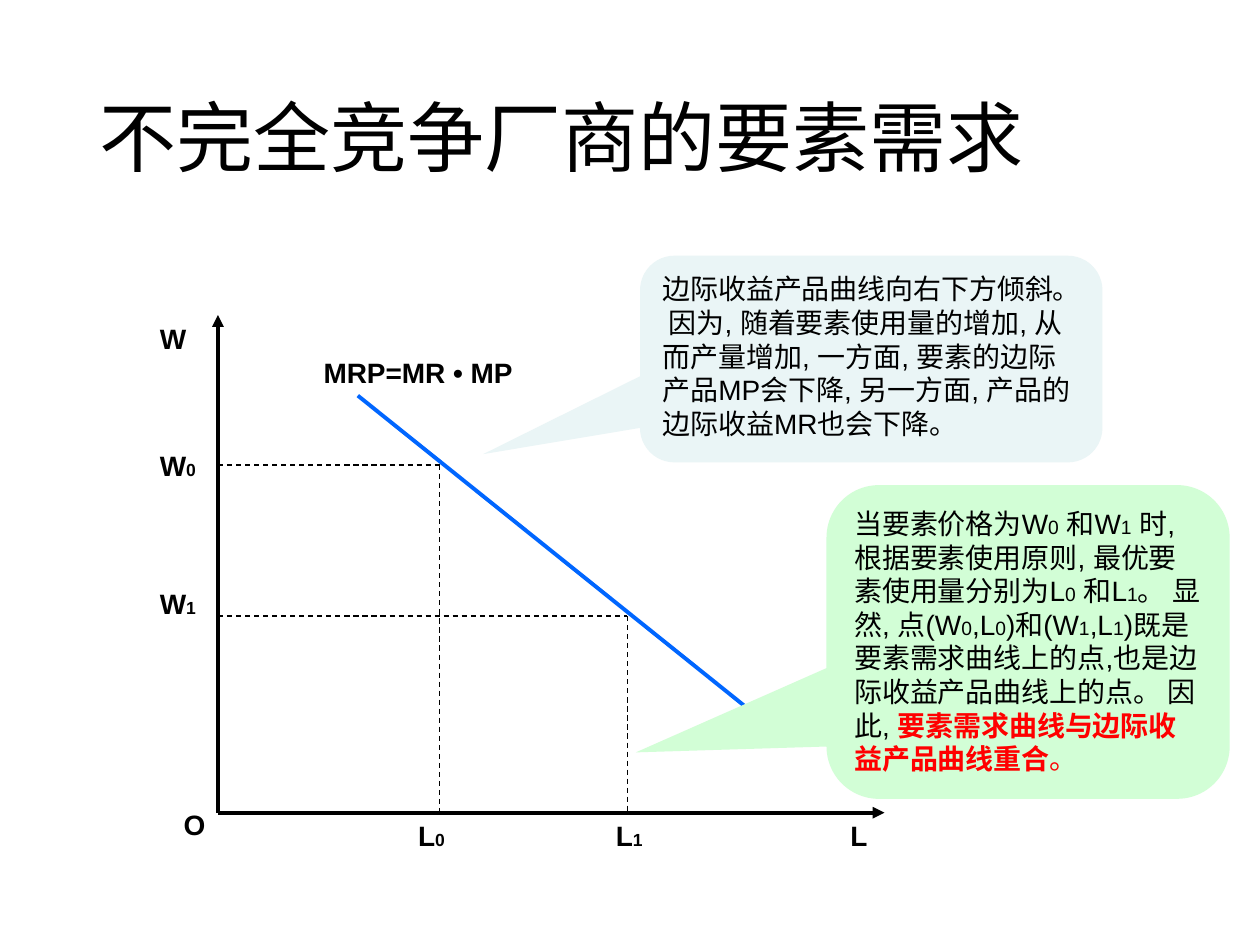
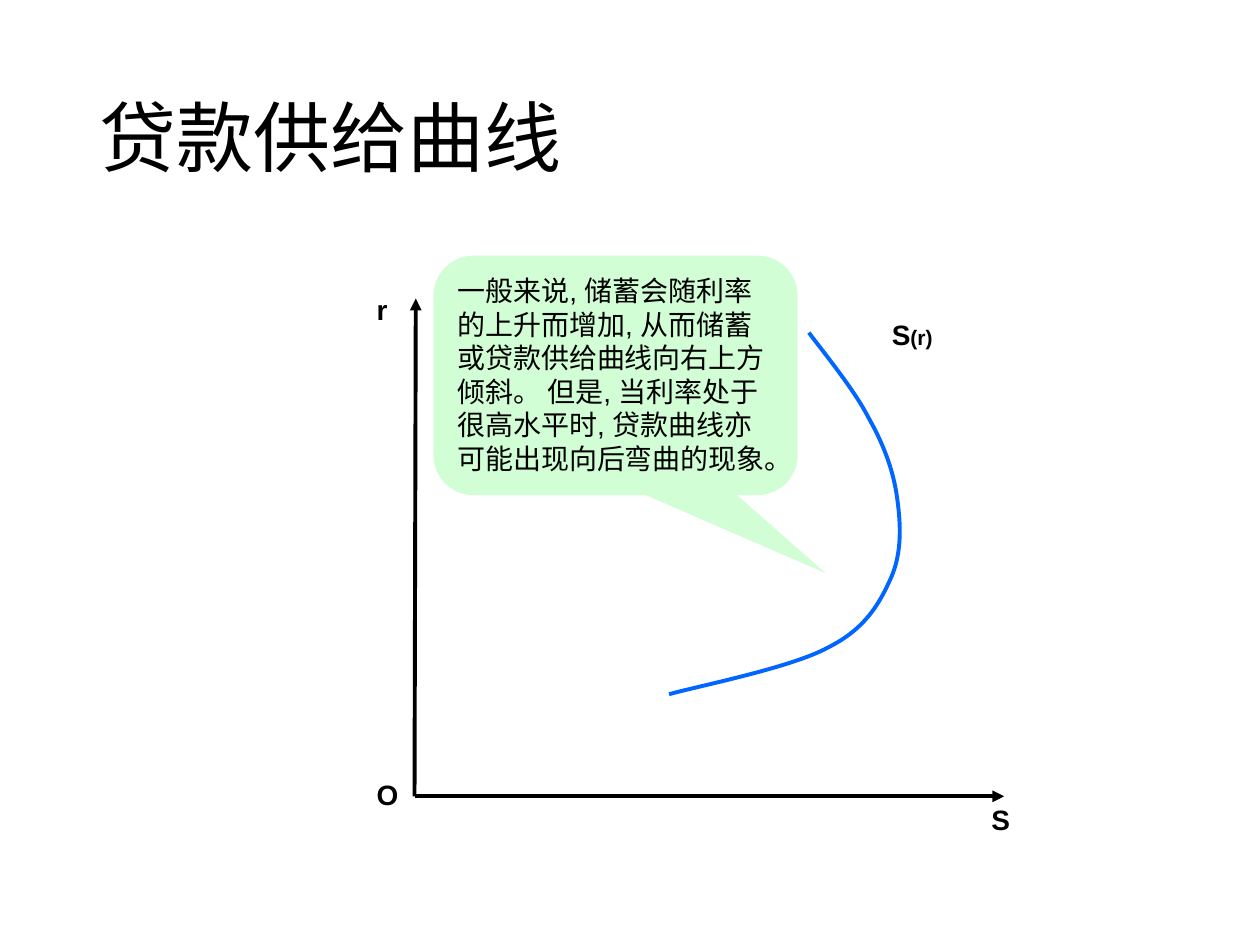
"""Builds two economics slides: factor demand and the loan supply curve."""
from lxml import etree
from pptx import Presentation
from pptx.dml.color import RGBColor
from pptx.enum import dml, shapes, text
from pptx.oxml import ns
from pptx.util import Inches, Pt

THEME = {
    "black": RGBColor(0, 0, 0), "blue": RGBColor(0x00, 0x66, 0xFF),
    "red": RGBColor(0xFF, 0, 0), "mist": RGBColor(0xEA, 0xF5, 0xF6),
    "mint": RGBColor(0xD2, 0xFE, 0xD6),
    "title": 44, "body": 16, "index": 10, "argument": 12, "note_index": 11,
    "thick": 2.25, "thin": 0.75, "title_font": "Calibri", "font": "Arial",
}


def write(tf, marked, size, small, font=THEME["font"], bold=False):
    """Writes text whose |marked| parts take the small size."""
    tf.word_wrap = True
    tf.auto_size = text.MSO_AUTO_SIZE.NONE
    p = tf.paragraphs[0]
    p.alignment = text.PP_ALIGN.LEFT
    for i, piece in enumerate(marked.split("|")):
        r = p.add_run()
        r.text = piece
        look = {"name": font, "size": Pt(small if i % 2 else size), "bold": bold}
        for key, value in look.items():
            setattr(r.font, key, value)
        r.font.color.rgb = THEME["black"]
    return p


def draw_line(s, start, end, color="black", width="thick", dash=None, arrow=False):
    """Draws a straight line, dashed or with an arrowhead if asked."""
    ends = [Inches(v) for v in (*start, *end)]
    line = s.shapes.add_connector(shapes.MSO_CONNECTOR.STRAIGHT, *ends)
    line.line.color.rgb = THEME[color]
    line.line.width = Pt(THEME[width])
    if dash:
        line.line.dash_style = dash
    if arrow:
        etree.SubElement(line.line._get_or_add_ln(), ns.qn("a:tailEnd"), type="triangle")
    etree.SubElement(line._element.spPr, ns.qn("a:effectLst"))


slides = [
    {
        "title": "不完全竞争厂商的要素需求",
        "origin": (1.73, 6.45), "top": (1.73, 2.5), "right": (7.02, 6.45),
        "label_height": 0.43, "small": "index",
        "demand": ((2.84, 3.14), (6.28, 5.9)),
        "guides": [(3.49, 3.69), (4.98, 4.89)],
        "labels": [
            ("W", 1.17, 2.5, 0.74), ("O", 1.36, 6.36, 0.4), ("L", 6.65, 6.45, 0.4),
            ("W|0", 1.17, 3.51, 0.65), ("W|1", 1.17, 4.61, 0.7),
            ("L|0", 3.22, 6.45, 0.84), ("L|1", 4.79, 6.45, 0.74),
            ("MRP=MR • MP", 2.47, 2.77, 2.41),
        ],
        "callouts": [
            ((5.08, 2.03, 3.67, 1.64), (-0.839, 0.46), "mist", False,
             "边际收益产品曲线向右下方倾斜。 因为, 随着要素使用量的增加, 从而产量增加, "
             "一方面, 要素的边际产品MP会下降, 另一方面, 产品的边际收益MR也会下降。"),
            ((6.56, 3.85, 3.2, 2.49), (-0.973, 0.352), "mint", True,
             "当要素价格为W|0| 和W|1| 时, 根据要素使用原则, 最优要素使用量分别为L|0| 和L|1|"
             "。 显然, 点(W|0|,L|0|)和(W|1|,L|1|)既是要素需求曲线上的点,也是边际收益产品"
             "曲线上的点。 因此, |要素需求曲线与边际收益产品曲线重合|。"),
        ],
    },
    {
        "title": "贷款供给曲线",
        "origin": (3.29, 6.32), "top": (3.3, 2.37), "right": (7.97, 6.32),
        "label_height": 0.47, "small": "argument",
        "supply": [
            (6.42, 2.64), (6.5, 2.75), (6.78, 3.09), (6.89, 3.31),
            (7.01, 3.52), (7.09, 3.73), (7.12, 3.95),
            (7.15, 4.16), (7.16, 4.39), (7.07, 4.59),
            (6.98, 4.79), (6.87, 4.99), (6.57, 5.14),
            (6.28, 5.3), (5.52, 5.45), (5.31, 5.51),
        ],
        "labels": [
            ("r", 2.89, 2.27, 0.8), ("O", 2.89, 6.12, 0.43),
            ("S", 7.77, 6.32, 0.43), ("S|(r)", 6.98, 2.47, 0.9),
        ],
        "callouts": [
            ((3.44, 2.03, 2.89, 1.9), (0.577, 0.826), "mint", False,
             "一般来说, 储蓄会随利率的上升而增加, 从而储蓄或贷款供给曲线向右上方倾斜。 "
             "但是, 当利率处于很高水平时, 贷款曲线亦可能出现向后弯曲的现象。"),
        ],
    },
]

prs = Presentation()
prs.slide_width, prs.slide_height = Inches(10), Inches(7.5)

for content in slides:
    s = prs.slides.add_slide(prs.slide_layouts[5])
    title = s.shapes.title
    frame = {"left": 0.69, "top": 0.4, "width": 8.62, "height": 1.45}
    for key, value in frame.items():
        setattr(title, key, Inches(value))
    title.text_frame.vertical_anchor = text.MSO_ANCHOR.MIDDLE
    p = write(title.text_frame, content["title"], THEME["title"], THEME["title"],
              THEME["title_font"])
    p.line_spacing = 0.9

    origin = content["origin"]
    for tip in (content["top"], content["right"]):
        draw_line(s, origin, tip, arrow=True)

    if "demand" in content:
        draw_line(s, *content["demand"], color="blue")
    for x, y in content.get("guides", []):
        for start, end in (((origin[0], y), (x, y)), ((x, y), (x, origin[1]))):
            draw_line(s, start, end, width="thin", dash=dml.MSO_LINE.DASH)

    for label, x, y, width in content["labels"]:
        box = s.shapes.add_textbox(
            Inches(x), Inches(y), Inches(width), Inches(content["label_height"]))
        write(box.text_frame, label, THEME["body"], THEME[content["small"]], bold=True)

    if "supply" in content:
        points = [(Inches(x), Inches(y)) for x, y in content["supply"]]
        builder = s.shapes.build_freeform(*points[0])
        builder.add_line_segments(points[1:], close=False)
        curve = builder.convert_to_shape()
        curve.shadow.inherit = False
        curve.fill.background()
        curve.line.color.rgb = THEME["blue"]
        curve.line.width = Pt(THEME["thick"])
        segments = list(curve._element.iter(ns.qn("a:lnTo")))
        outline = segments[0].getparent()
        for i in range(0, len(segments), 3):
            bezier = etree.SubElement(outline, ns.qn("a:cubicBezTo"))
            for segment in segments[i:i + 3]:
                bezier.append(segment[0])
                outline.remove(segment)

    for place, pointer, fill, emphasis, note in content["callouts"]:
        callout = s.shapes.add_shape(
            shapes.MSO_SHAPE.ROUNDED_RECTANGULAR_CALLOUT, *[Inches(v) for v in place])
        for i, value in enumerate((*pointer, 0.167)):
            callout.adjustments[i] = value
        callout.shadow.inherit = False
        callout.fill.solid()
        callout.fill.fore_color.rgb = THEME[fill]
        callout.line.fill.background()
        tf = callout.text_frame
        tf.vertical_anchor = text.MSO_ANCHOR.TOP
        p = write(tf, note, THEME["body"], THEME["note_index"])
        if emphasis:
            for r in p.runs[-2:]:
                r.font.size = Pt(THEME["body"])
                r.font.color.rgb = THEME["red"]
            p.runs[-2].font.bold = True

prs.save("out.pptx")
